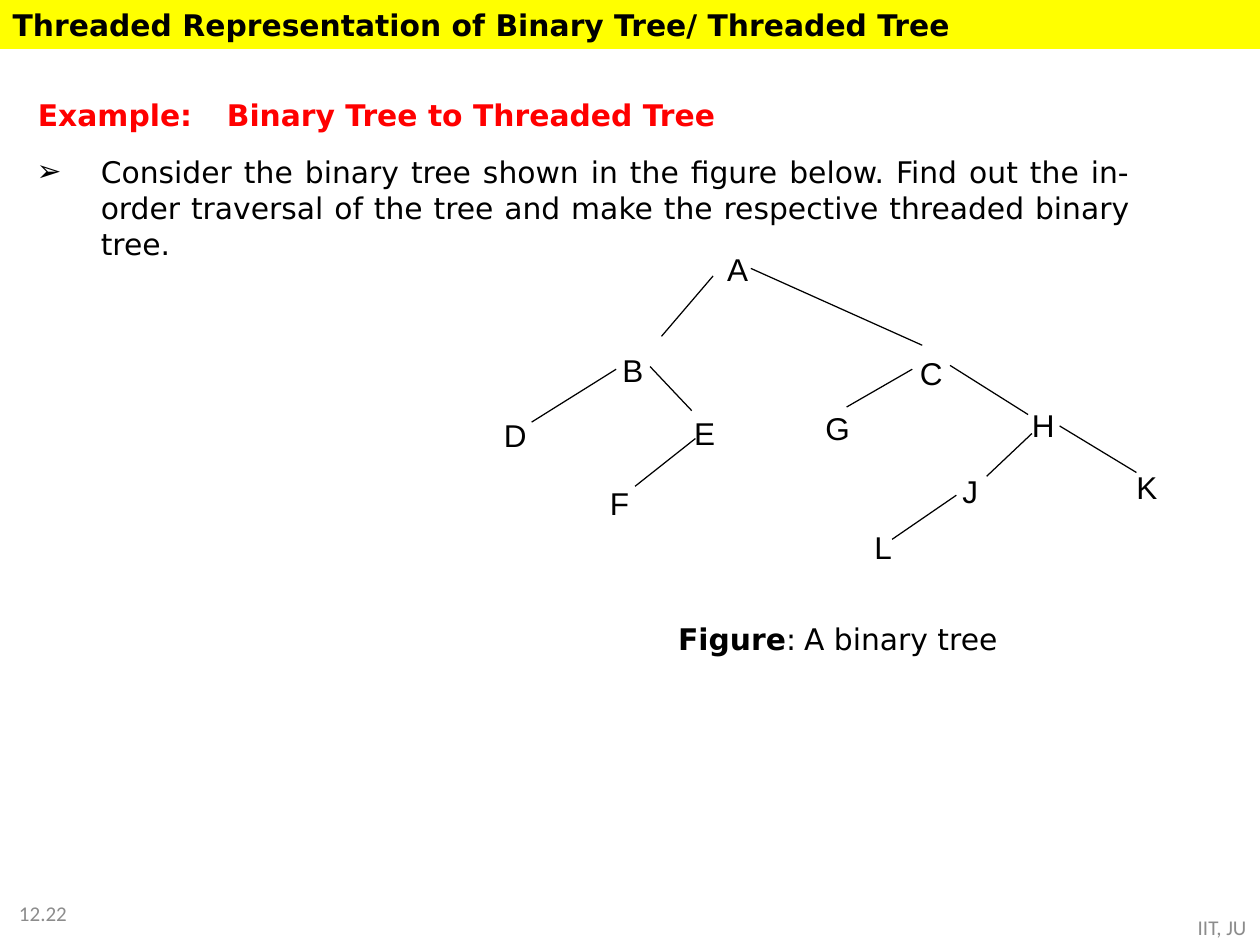
from dataclasses import dataclass

from lxml.etree import SubElement
from pptx import Presentation
from pptx.dml.color import RGBColor
from pptx.enum.shapes import MSO_CONNECTOR
from pptx.enum.text import MSO_ANCHOR, MSO_AUTO_SIZE, PP_ALIGN
from pptx.oxml.ns import qn
from pptx.util import Pt


@dataclass(frozen=True)
class Theme:
    black: RGBColor = RGBColor(0, 0, 0)
    red: RGBColor = RGBColor(255, 0, 0)
    yellow: RGBColor = RGBColor(255, 255, 0)
    gray: RGBColor = RGBColor(0x8C, 0x8C, 0x8C)
    text_font: str = "DejaVu Sans"
    node_font: str = "Arial"
    footer_font: str = "Calibri"
    text_size: float = 17
    node_size: float = 18
    footer_size: float = 12
    edge_width: float = 0.72


THEME = Theme()

# Left and top of each node label
NODES = {
    "A": (415.5, 141), "B": (355.7, 198.7), "C": (525.6, 200.9),
    "D": (288, 236.2), "E": (396.7, 234.7), "F": (348.5, 275),
    "G": (471.6, 231.8), "H": (589.7, 230.4), "J": (550, 267.8),
    "K": (649.4, 265.7), "L": (499.7, 300.3),
}

# Start and end of each edge, parent to child
EDGES = {
    "AB": (407.5, 157.7, 378, 192.2),
    "AC": (429.1, 153.4, 527, 197.3),
    "BD": (352.1, 211, 303.8, 241.2),
    "BE": (371.5, 209.5, 395.3, 234.7),
    "EF": (397.4, 250.6, 362.9, 277.9),
    "CG": (521.3, 211, 483.8, 232.6),
    "CH": (542.9, 208.8, 587.5, 236.9),
    "HJ": (589.7, 247.7, 563.8, 272.2),
    "HK": (605.5, 243.4, 649.4, 270),
    "JL": (546.5, 283, 509.8, 308.2),
}


def place(shape, left, top, width, height):
    shape.left, shape.top = Pt(left), Pt(top)
    shape.width, shape.height = Pt(width), Pt(height)


def prepare_frame(shape, anchor=MSO_ANCHOR.TOP, left_inset=0):
    """Give the shape's text frame plain insets, wrapping and a fixed size."""
    frame = shape.text_frame
    frame.margin_top = frame.margin_right = frame.margin_bottom = 0
    frame.margin_left = Pt(left_inset)
    frame.word_wrap = True
    frame.auto_size = MSO_AUTO_SIZE.NONE
    frame.vertical_anchor = anchor
    return frame


def set_font(paragraph, name, size, color, bold=False):
    font = paragraph.font
    font.name, font.size, font.bold = name, Pt(size), bold
    font.color.rgb = color


def set_layout(paragraph, margin=0, indent=0, bullet=None, tab=None):
    """Set indents, bullet and tab stop, all before the paragraph's font."""
    properties = paragraph._p.get_or_add_pPr()
    properties.set("marL", str(Pt(margin)))
    properties.set("indent", str(Pt(indent)))
    if bullet:
        SubElement(properties, qn("a:buFont"), typeface=THEME.text_font)
        SubElement(properties, qn("a:buChar"), char=bullet)
    else:
        SubElement(properties, qn("a:buNone"))
    if tab:
        tabs = SubElement(properties, qn("a:tabLst"))
        SubElement(tabs, qn("a:tab"), pos=str(Pt(tab)), algn="l")


def fill_title(title):
    place(title, 0, 0, 720, 28)
    title.fill.solid()
    title.fill.fore_color.rgb = THEME.yellow
    frame = prepare_frame(title, MSO_ANCHOR.MIDDLE, left_inset=7.2)
    frame.text = "Threaded Representation of Binary Tree/ Threaded Tree"
    paragraph = frame.paragraphs[0]
    paragraph.alignment = PP_ALIGN.LEFT
    set_font(paragraph, THEME.text_font, THEME.text_size, THEME.black, bold=True)


def fill_body(body):
    place(body, 6.5, 55, 639.5, 96)
    frame = prepare_frame(body)
    heading = frame.paragraphs[0]
    heading.text = "Example:\tBinary Tree to Threaded Tree"
    set_layout(heading, margin=15.1, tab=114.5)
    heading.space_before = Pt(0)
    set_font(heading, THEME.text_font, THEME.text_size, THEME.red, bold=True)

    task = frame.add_paragraph()
    task.text = (
        "Consider the binary tree shown in the figure below. Find out the "
        "in-order traversal of the tree and make the respective threaded "
        "binary tree."
    )
    set_layout(task, margin=51.1, indent=-36.7, bullet="➢")
    task.alignment = PP_ALIGN.JUSTIFY
    task.space_before = Pt(11.8)
    task.line_spacing = 1.02
    set_font(task, THEME.text_font, THEME.text_size, THEME.black)


def add_label(slide, text, box, font, size, color,
              alignment=PP_ALIGN.LEFT, anchor=MSO_ANCHOR.TOP):
    label = slide.shapes.add_textbox(*map(Pt, box))
    frame = prepare_frame(label, anchor)
    frame.text = text
    paragraph = frame.paragraphs[0]
    paragraph.alignment = alignment
    set_font(paragraph, font, size, color)


def add_edge(slide, start_x, start_y, end_x, end_y):
    edge = slide.shapes.add_connector(
        MSO_CONNECTOR.STRAIGHT, Pt(start_x), Pt(start_y), Pt(end_x), Pt(end_y))
    edge.line.color.rgb = THEME.black
    edge.line.width = Pt(THEME.edge_width)
    SubElement(edge._element.spPr, qn("a:effectLst"))


def add_tree(slide):
    for edge in EDGES.values():
        add_edge(slide, *edge)
    for name, (left, top) in NODES.items():
        add_label(slide, name, (left, top + 1.7, 16, 22),
                  THEME.node_font, THEME.node_size, THEME.black)


def add_caption(slide):
    caption = slide.shapes.add_textbox(Pt(387.5), Pt(354.5), Pt(193), Pt(20))
    paragraph = prepare_frame(caption).paragraphs[0]
    set_layout(paragraph, tab=81.4)
    set_font(paragraph, THEME.text_font, THEME.text_size, THEME.black)
    for text, bold in (("Figure", True), (":\tA binary tree", False)):
        run = paragraph.add_run()
        run.text = text
        run.font.bold = bold


def add_footer(slide):
    style = (THEME.footer_font, THEME.footer_size, THEME.gray)
    add_label(slide, "12.22", (3.6, 514, 34.6, 15), *style,
              PP_ALIGN.RIGHT, MSO_ANCHOR.MIDDLE)
    add_label(slide, "IIT, JU", (680.4, 523, 36, 14), *style,
              PP_ALIGN.CENTER, MSO_ANCHOR.MIDDLE)


def main():
    presentation = Presentation()
    presentation.slide_width, presentation.slide_height = Pt(720), Pt(540)
    slide = presentation.slides.add_slide(presentation.slide_layouts[1])
    fill_title(slide.shapes.title)
    fill_body(slide.placeholders[1])
    add_tree(slide)
    add_caption(slide)
    add_footer(slide)
    presentation.save("out.pptx")


if __name__ == "__main__":
    main()
